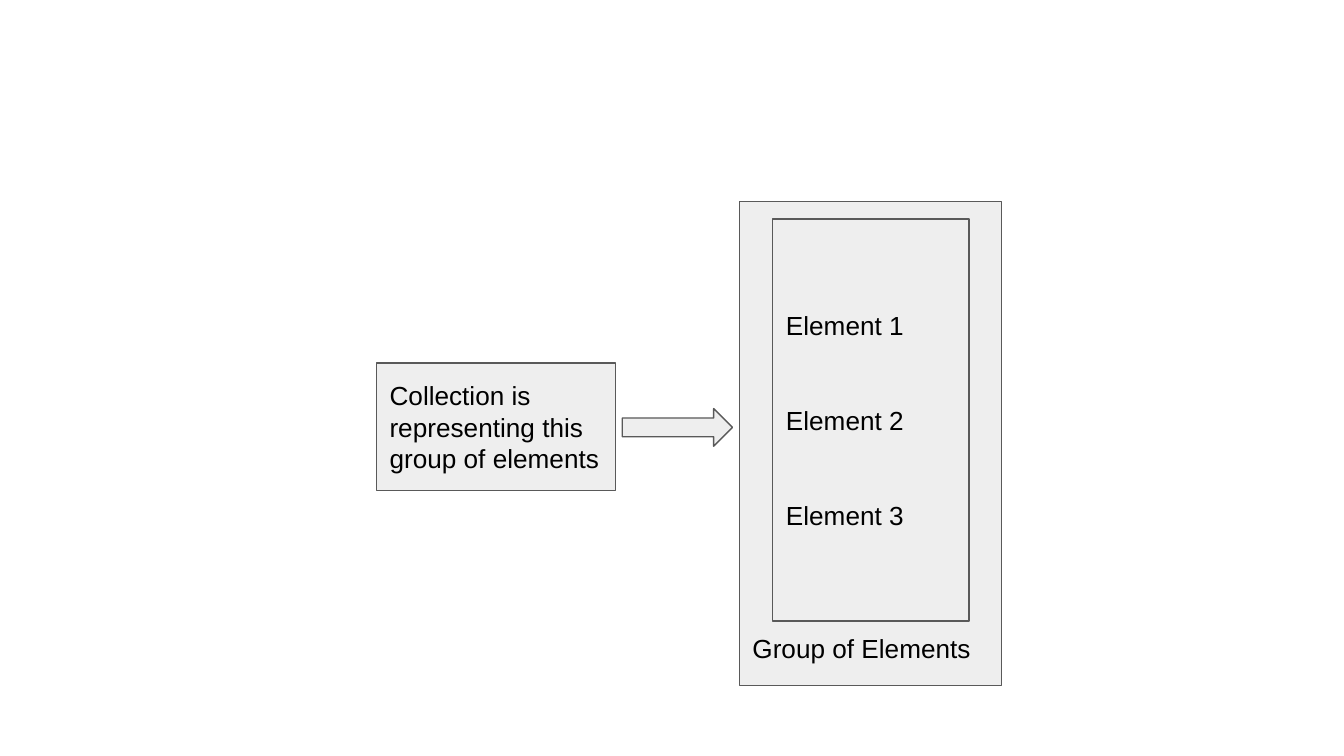
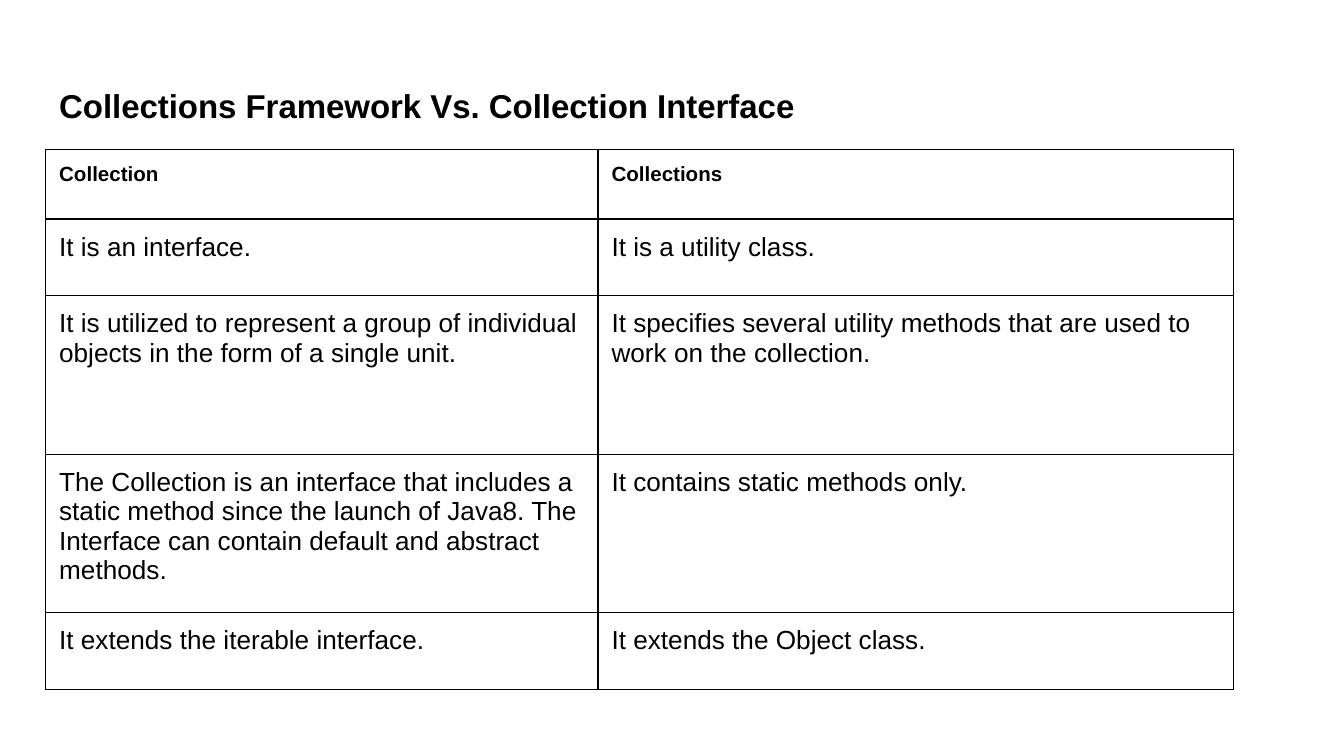
from dataclasses import dataclass
from lxml.etree import SubElement
from pptx import Presentation
from pptx.dml.color import RGBColor
from pptx.enum.shapes import MSO_SHAPE
from pptx.enum.text import MSO_ANCHOR, PP_ALIGN
from pptx.oxml.ns import qn
from pptx.util import Inches, Pt

FONT = "Arial"
INSET = Inches(0.1)
COLORS = {"text": "000000", "fill": "EEEEEE", "line": "595959", "grid": "000000"}


@dataclass(frozen=True)
class Box:
    left: float
    top: float
    width: float
    height: float
    lines: tuple[str, ...] = ()
    kind: MSO_SHAPE = MSO_SHAPE.RECTANGLE
    anchor: MSO_ANCHOR = MSO_ANCHOR.MIDDLE
    gap: float = 0
    base: float = 0.1


BOXES = (
    Box(2.8, 2.7, 1.78, 0.95, ("Collection is representing this group of elements",)),
    Box(5.5, 1.5, 1.95, 3.6, ("Group of Elements",), anchor=MSO_ANCHOR.BOTTOM, base=0.16),
    Box(5.75, 1.63, 1.46, 2.99, tuple(f"Element {n}" for n in (1, 2, 3)), gap=34),
    Box(4.63, 3.04, 0.82, 0.28, kind=MSO_SHAPE.RIGHT_ARROW),
)

WIDTHS = (4.11, 4.73)
HEIGHTS = (0.52, 0.57, 1.18, 1.18, 0.57)
ROWS = (
    ("Collection", "Collections"),
    ("It is an interface.", "It is a utility class."),
    (
        "It is utilized to represent a group of individual objects in the form of a single unit.",
        "It specifies several utility methods that are used to work on the collection.",
    ),
    (
        "The Collection is an interface that includes a static method since the launch of Java8. "
        "The Interface can contain default and abstract methods.",
        "It contains static methods only.",
    ),
    ("It extends the iterable interface.", "It extends the Object class."),
)


def color(name: str) -> RGBColor:
    return RGBColor.from_string(COLORS[name])


def write(para, text: str, size: float = 14, bold: bool = False) -> None:
    para.alignment = PP_ALIGN.LEFT
    run = para.add_run()
    run.text = text
    run.font.name = FONT
    run.font.size = Pt(size)
    run.font.bold = bold
    run.font.color.rgb = color("text")


def pad(item) -> None:
    item.margin_left = item.margin_right = INSET
    item.margin_top = item.margin_bottom = INSET


def draw_box(slide, box: Box) -> None:
    shape = slide.shapes.add_shape(
        box.kind, Inches(box.left), Inches(box.top), Inches(box.width), Inches(box.height)
    )
    shape.shadow.inherit = False
    shape.fill.solid()
    shape.fill.fore_color.rgb = color("fill")
    shape.line.color.rgb = color("line")
    shape.line.width = Pt(0.75)
    frame = shape.text_frame
    frame.word_wrap = True
    frame.vertical_anchor = box.anchor
    pad(frame)
    frame.margin_bottom = Inches(box.base)
    for index, line in enumerate(box.lines):
        para = frame.add_paragraph() if index else frame.paragraphs[0]
        if index:
            para.space_before = Pt(box.gap)
        write(para, line)


def draw_title(slide, text: str) -> None:
    title = slide.shapes.title
    title.left, title.top = Inches(0.34), Inches(0.49)
    title.width, title.height = Inches(9.32), Inches(0.63)
    frame = title.text_frame
    frame.word_wrap = True
    frame.vertical_anchor = MSO_ANCHOR.TOP
    pad(frame)
    para = frame.paragraphs[0]
    para.line_spacing = 1.15
    para.space_before = Pt(14)
    write(para, text, 17.7, True)


def add_edges(cell) -> None:
    props = cell._tc.get_or_add_tcPr()
    for side in ("lnL", "lnR", "lnT", "lnB"):
        edge = SubElement(props, qn(f"a:{side}"), w=str(Pt(0.75)))
        fill = SubElement(edge, qn("a:solidFill"))
        SubElement(fill, qn("a:srgbClr"), val=COLORS["grid"])


def draw_table(slide) -> None:
    table = slide.shapes.add_table(
        len(ROWS), len(WIDTHS), Inches(0.34), Inches(1.11),
        Inches(sum(WIDTHS)), Inches(sum(HEIGHTS)),
    ).table
    table.first_row = table.horz_banding = False
    for col, width in zip(table.columns, WIDTHS):
        col.width = Inches(width)
    for index, (row, height, texts) in enumerate(zip(table.rows, HEIGHTS, ROWS)):
        row.height = Inches(height)
        head = index == 0
        for cell, text in zip(row.cells, texts):
            pad(cell)
            add_edges(cell)
            cell.fill.background()
            write(cell.text_frame.paragraphs[0], text, 11 if head else 14, head)


def main() -> None:
    deck = Presentation()
    deck.slide_width = Inches(10)
    deck.slide_height = Inches(10 * 9 / 16)
    first = deck.slides.add_slide(deck.slide_layouts[6])
    for box in BOXES:
        draw_box(first, box)
    second = deck.slides.add_slide(deck.slide_layouts[5])
    draw_title(second, "Collections Framework Vs. Collection Interface")
    draw_table(second)
    deck.save("out.pptx")


if __name__ == "__main__":
    main()
